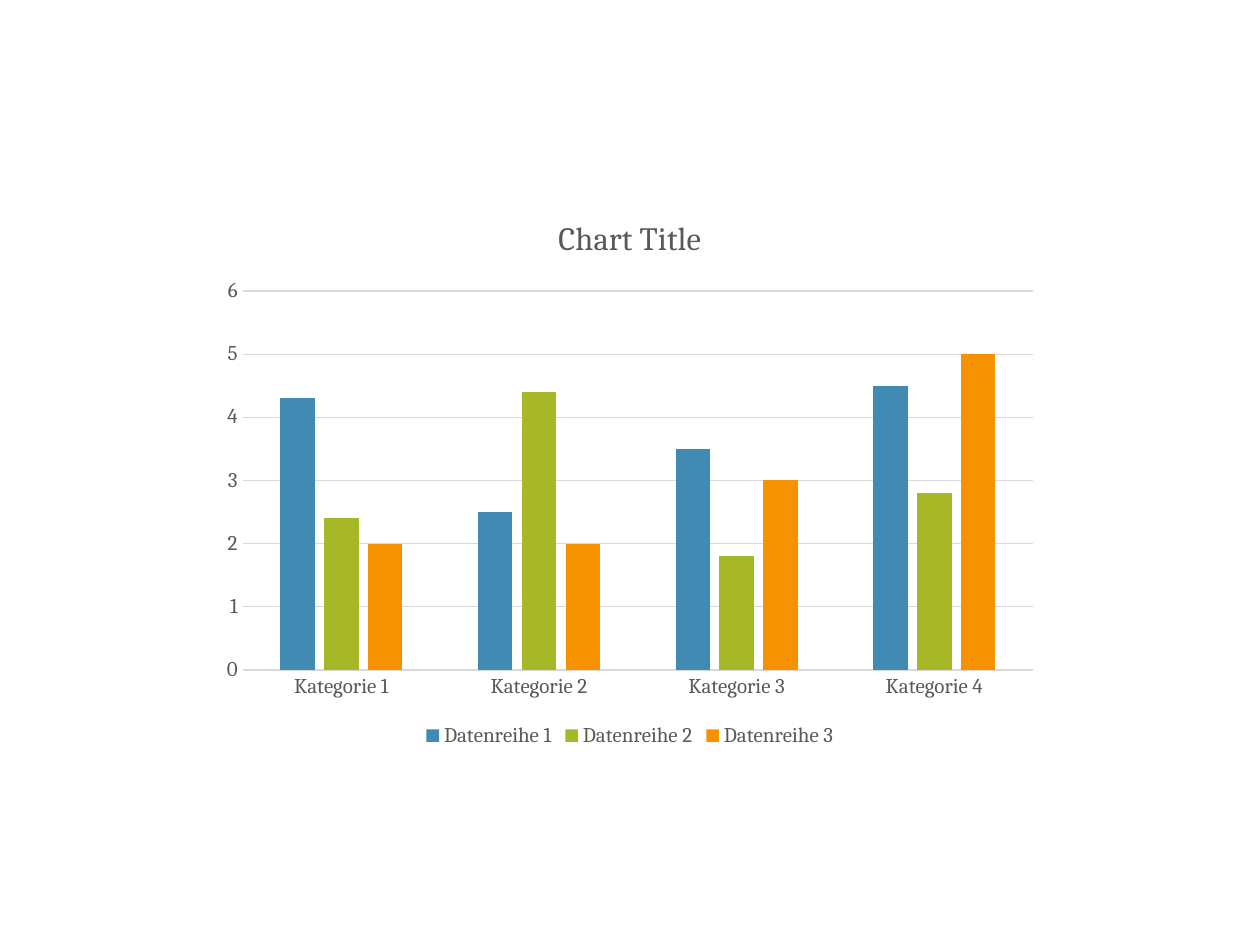
import pptx
import pptx.chart.data
import pptx.dml.color
import pptx.enum.chart
import pptx.util

Pt = pptx.util.Pt
FONT = "Cambria"
TEXT_GREY = "595959"
LINE_GREY = "D9D9D9"
CATEGORIES = [f"Kategorie {number}" for number in range(1, 5)]
DATA_ROWS = [
    ("Datenreihe 1", (4.3, 2.5, 3.5, 4.5), "418AB3"),
    ("Datenreihe 2", (2.4, 4.4, 1.8, 2.8), "A6B727"),
    ("Datenreihe 3", (2, 2, 3, 5), "F69200"),
]


def color(hex_string):
    """Turn a hex string into a colour."""
    return pptx.dml.color.RGBColor.from_string(hex_string)


def format_font(font, size=12, fill=TEXT_GREY, bold=False):
    """Set typeface, size, colour and weight of a font."""
    font.name = FONT
    font.size = Pt(size)
    font.bold = bold
    font.color.rgb = color(fill)


def write_text(frame, text, **font_format):
    """Put formatted text into a text frame."""
    frame.text = text
    format_font(frame.paragraphs[0].runs[0].font, **font_format)


def format_line(line):
    """Give a line the thin grey look of axis and grid."""
    line.color.rgb = color(LINE_GREY)
    line.width = Pt(0.75)


def format_axes(chart):
    """Style both axes and the horizontal grid."""
    for axis in (chart.category_axis, chart.value_axis):
        axis.major_tick_mark = pptx.enum.chart.XL_TICK_MARK.NONE
        axis.minor_tick_mark = pptx.enum.chart.XL_TICK_MARK.NONE
        format_font(axis.tick_labels.font)
    format_line(chart.category_axis.format.line)
    values = chart.value_axis
    values.minimum_scale, values.maximum_scale, values.major_unit = 0, 6, 1
    values.format.line.fill.background()
    values.has_major_gridlines = True
    format_line(values.major_gridlines.format.line)


def format_legend(chart):
    """Place the legend below the plot."""
    chart.has_legend = True
    chart.legend.position = pptx.enum.chart.XL_LEGEND_POSITION.BOTTOM
    chart.legend.include_in_layout = False
    format_font(chart.legend.font)


def add_column_chart(slide, left, top, width, height):
    """Add the clustered columns with title, axes and legend."""
    data = pptx.chart.data.CategoryChartData()
    data.categories = CATEGORIES
    for name, values, _ in DATA_ROWS:
        data.add_series(name, values)
    chart = slide.shapes.add_chart(
        pptx.enum.chart.XL_CHART_TYPE.COLUMN_CLUSTERED,
        Pt(left), Pt(top), Pt(width), Pt(height), data).chart
    format_font(chart.font, size=10, fill="000000")
    chart.has_title = True
    write_text(chart.chart_title.text_frame, "Chart Title", size=18.6)
    chart.chart_title.include_in_layout = False

    columns = chart.plots[0]
    columns.gap_width = 219
    columns.overlap = -27
    columns.vary_by_categories = False
    for series, (_, _, fill) in zip(columns.series, DATA_ROWS):
        series.format.fill.solid()
        series.format.fill.fore_color.rgb = color(fill)
        series.invert_if_negative = False
    format_axes(chart)
    format_legend(chart)


def main():
    """Build the slide and save it."""
    presentation = pptx.Presentation()
    presentation.slide_width = Pt(720)
    presentation.slide_height = Pt(540)
    slide = presentation.slides.add_slide(presentation.slide_layouts[6])
    add_column_chart(slide, left=120, top=110, width=480, height=320)
    presentation.save("out.pptx")


main()
